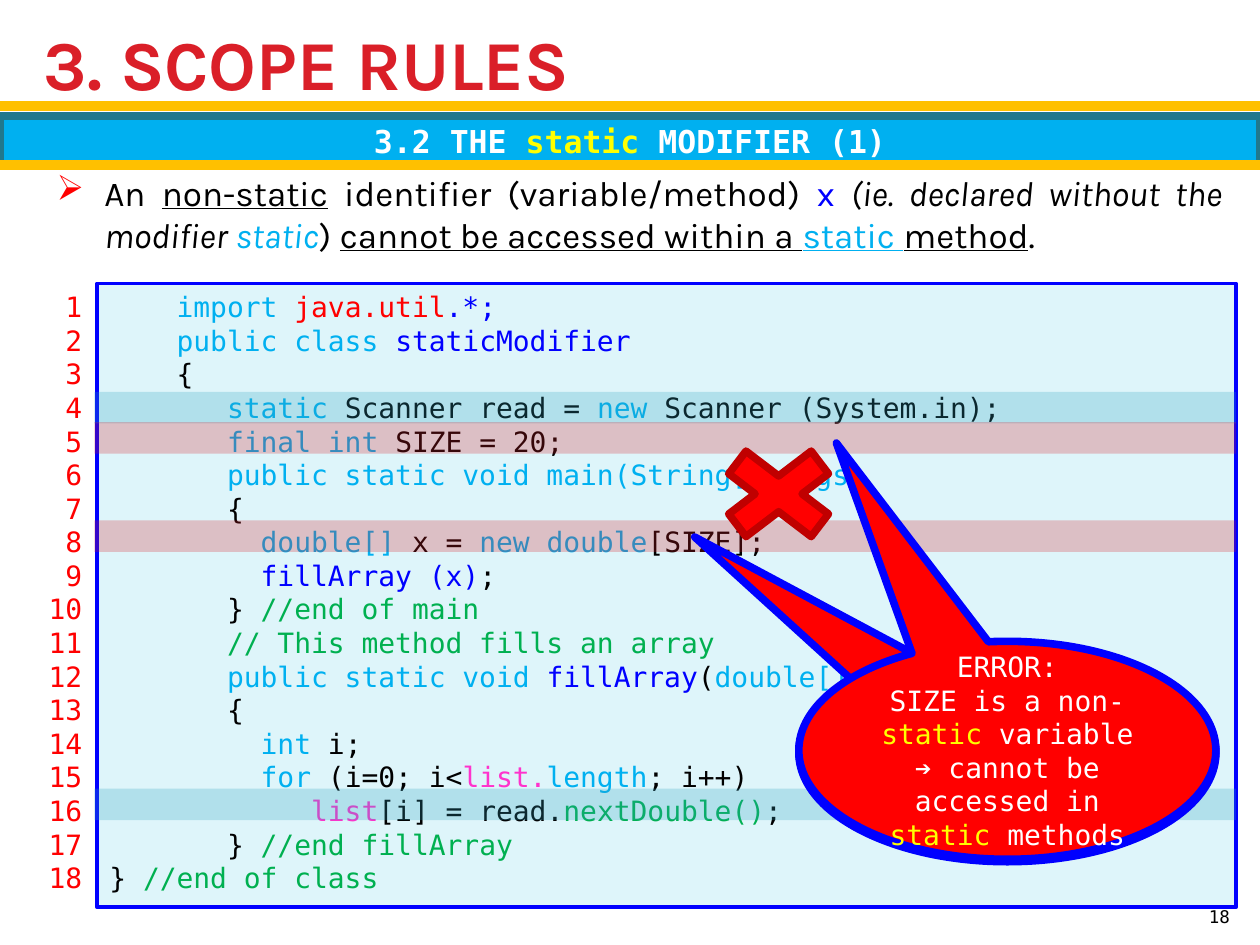
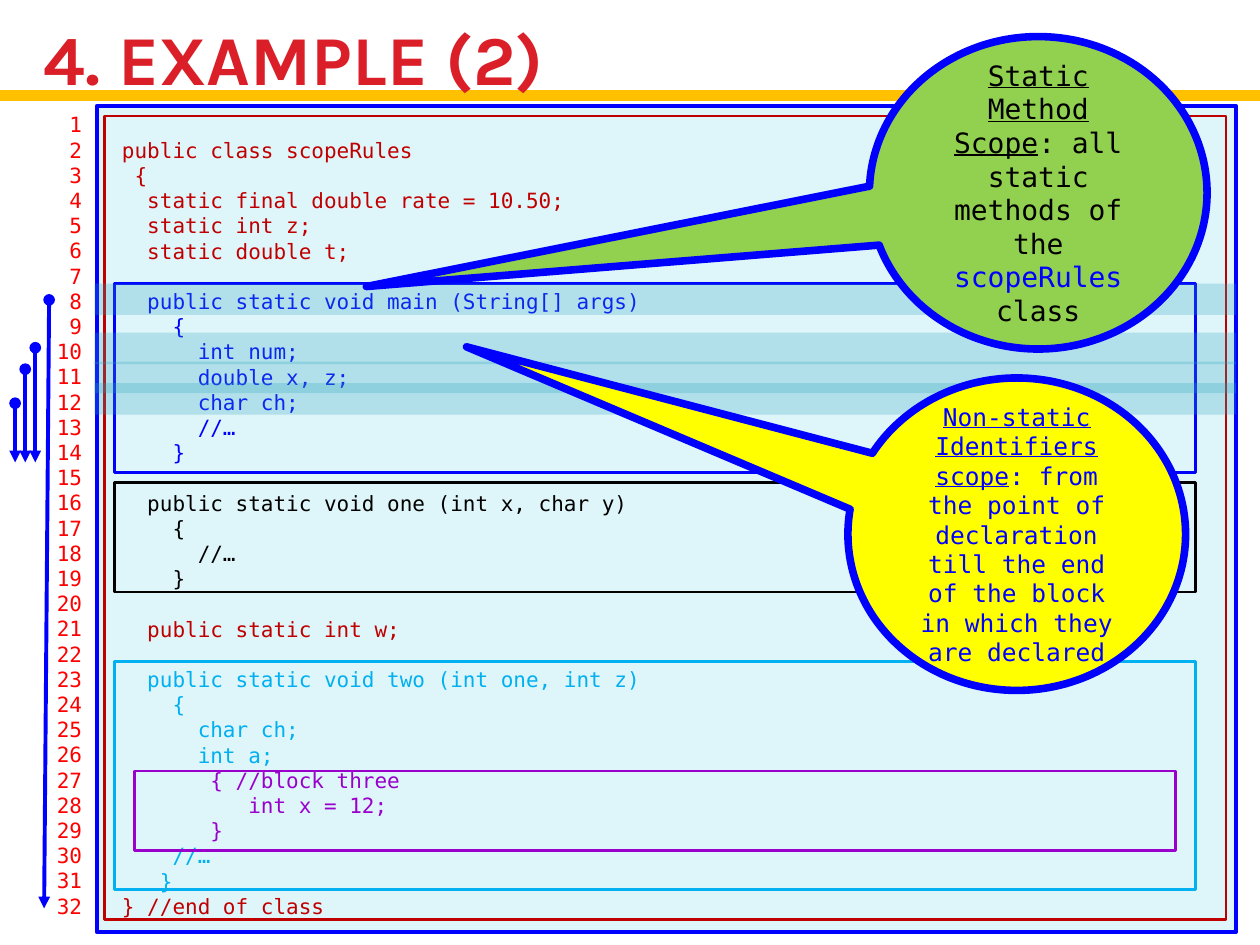
from dataclasses import dataclass

from lxml import etree
from pptx import Presentation
from pptx.dml.color import RGBColor
from pptx.enum.shapes import MSO_CONNECTOR, MSO_SHAPE
from pptx.enum.text import MSO_ANCHOR, PP_ALIGN
from pptx.oxml.ns import qn
from pptx.util import Inches, Pt

# Grid: 100 columns by 75 rows
SLIDE_W, SLIDE_H = Inches(10), Inches(7.5)
COL, ROW = SLIDE_W / 100, SLIDE_H / 75

# Fonts and colours
HEADING, MONO = "Karla", "DejaVu Sans Mono"
LINE_HEIGHT = 1.2
BLACK = RGBColor(0x00, 0x00, 0x00)
WHITE = RGBColor(0xFF, 0xFF, 0xFF)
RED = RGBColor(0xFF, 0x00, 0x00)
TITLE_RED = RGBColor(0xDA, 0x1F, 0x28)
DARK_RED = RGBColor(0xC0, 0x00, 0x00)
GOLD = RGBColor(0xFF, 0xC0, 0x00)
YELLOW = RGBColor(0xFF, 0xFF, 0x00)
LIME = RGBColor(0x92, 0xD0, 0x50)
GREEN = RGBColor(0x00, 0xB0, 0x50)
SKY = RGBColor(0x00, 0xB0, 0xF0)
TEAL = RGBColor(0x2D, 0xA2, 0xBF)
DARK_TEAL = RGBColor(0x21, 0x78, 0x8D)
PALE = RGBColor(0xDE, 0xF5, 0xFA)
BLUE = RGBColor(0x00, 0x00, 0xFF)
PURPLE = RGBColor(0x99, 0x00, 0xCC)
PINK = RGBColor(0xFF, 0x33, 0xCC)


@dataclass
class Box:
    """A region in grid columns and rows."""
    left: float
    top: float
    width: float
    height: float

    def inner(self, left, top, width, height):
        return Box(self.left + left, self.top + top, width, height)

    def emu(self):
        return (round(self.left * COL), round(self.top * ROW),
                round(self.width * COL), round(self.height * ROW))


def write_text(frame, lines, size=16, font=MONO, bold=False,
               align=PP_ALIGN.LEFT, anchor=MSO_ANCHOR.TOP, bullet=None):
    """Write lines of (text, colour, flags) runs; None skips one line."""
    frame.word_wrap = True
    frame.vertical_anchor = anchor
    gap, first = 0, True
    for line in lines:
        if line is None:
            gap += size * LINE_HEIGHT
            continue
        paragraph = frame.paragraphs[0] if first else frame.add_paragraph()
        paragraph.alignment = align
        if gap and first:
            frame.margin_top += Pt(gap)
        elif gap:
            paragraph.space_before = Pt(gap)
        gap, first = 0, False
        if bullet:
            add_bullet(paragraph, *bullet)
        for words, colour, *flags in line:
            run = paragraph.add_run()
            run.text = words
            run.font.name, run.font.size, run.font.bold = font, Pt(size), bold
            run.font.color.rgb = colour
            run.font.underline = "u" in flags
            run.font.italic = "i" in flags


def add_bullet(paragraph, mark, colour, indent):
    props = paragraph._p.get_or_add_pPr()
    props.set("marL", str(indent))
    props.set("indent", str(-indent))
    tint = etree.SubElement(props, qn("a:buClr"))
    etree.SubElement(tint, qn("a:srgbClr"), val=str(colour))
    etree.SubElement(props, qn("a:buChar"), char=mark)


def add_label(slide, box, lines, **fmt):
    write_text(slide.shapes.add_textbox(*box.emu()).text_frame, lines, **fmt)


def add_block(slide, box, fill=None, line=None, width=1.5,
              preset=MSO_SHAPE.RECTANGLE, opacity=None):
    block = slide.shapes.add_shape(preset, *box.emu())
    block.shadow.inherit = False
    if fill is None:
        block.fill.background()
    else:
        block.fill.solid()
        block.fill.fore_color.rgb = fill
    if opacity:
        tint = block._element.spPr.find(qn("a:solidFill"))[0]
        etree.SubElement(tint, qn("a:alpha"), val=str(opacity * 1000))
    if line is None:
        block.line.fill.background()
    else:
        block.line.color.rgb = line
        block.line.width = Pt(width)
    return block


def add_line(slide, start, end, colour, width, arrow=False):
    rule = slide.shapes.add_connector(
        MSO_CONNECTOR.STRAIGHT, round(start[0] * COL), round(start[1] * ROW),
        round(end[0] * COL), round(end[1] * ROW))
    rule.line.color.rgb = colour
    rule.line.width = Pt(width)
    if arrow:
        outline = rule.line._get_or_add_ln()
        etree.SubElement(outline, qn("a:headEnd"), type="oval")
        etree.SubElement(outline, qn("a:tailEnd"), type="triangle")
    etree.SubElement(rule._element.spPr, qn("a:effectLst"))


def add_heading(slide, title, box, rule_row):
    """Slide title over a gold rule."""
    add_line(slide, (0, rule_row), (100, rule_row), GOLD, 6)
    add_label(slide, box, [[(title, TITLE_RED)]], size=40, font=HEADING,
              bold=True, anchor=MSO_ANCHOR.MIDDLE)


def add_code_panel(slide, panel, code, size):
    """Numbered code listing; the numbers stand left of the panel."""
    numbers = [[(str(n), RED)] for n in range(1, len(code) + 1)]
    add_label(slide, panel.inner(-5.7, 0, 5.5, panel.height), numbers,
              size=size, align=PP_ALIGN.RIGHT)
    listing = add_block(slide, panel, PALE, BLUE, 2.25)
    write_text(listing.text_frame, code, size=size)


def add_highlight(slide, panel, row, colour):
    add_block(slide, panel.inner(-0.2, row, panel.width + 0.2, 2.5), colour,
              opacity=25)


def add_callout(slide, box, tip, fill, lines=(), size=16):
    balloon = add_block(slide, box, fill, BLUE, 4.33,
                        MSO_SHAPE.OVAL_CALLOUT)
    balloon.adjustments[0], balloon.adjustments[1] = tip
    write_text(balloon.text_frame, lines, size=size, align=PP_ALIGN.CENTER,
               anchor=MSO_ANCHOR.MIDDLE)


STATIC_CODE = [
    [("    import ", SKY), ("java.util", RED), (".*;", BLUE)],
    [("    public class ", SKY), ("staticModifier", BLUE)],
    [("    {", BLACK)],
    [("       static ", SKY), ("Scanner read = ", BLACK), ("new ", SKY),
     ("Scanner (System.in);", BLACK)],
    [("       final int ", SKY), ("SIZE = 20;", BLACK)],
    [("       public static void main(String[] args)", SKY)],
    [("       {", BLACK)],
    [("         double[]", SKY), (" x = ", BLACK), ("new double", SKY),
     ("[SIZE];", BLACK)],
    [("         fillArray (x)", BLUE), (";", BLACK)],
    [("       } ", BLACK), ("//end of main", GREEN)],
    [("       // This method fills an array", GREEN)],
    [("       public static void ", SKY), ("fillArray", BLUE), ("(", BLACK),
     ("double[] ", SKY), ("list", PINK), (")", BLACK)],
    [("       {", BLACK)],
    [("         int ", SKY), ("i;", BLACK)],
    [("         for ", SKY), ("(i=0; i<", BLACK), ("list.", PINK),
     ("length", SKY), ("; i++)", BLACK)],
    [("            list", PINK), ("[i] = read.", BLACK),
     ("nextDouble()", GREEN), (";", BLACK)],
    [("       }", BLACK), (" //end fillArray", GREEN)],
    [("} ", BLACK), ("//end of class", GREEN)],
]

# Source text of the scope example, by colour of its block
SCOPE_PARTS = [
    (DARK_RED, """
 public class scopeRules
  {
   static final double rate = 10.50;
   static int z;
   static double t;
"""),
    (BLUE, """   public static void main (String[] args)
     {
       int num;
       double x, z;
       char ch;
       //…
     }
"""),
    (BLACK, """   public static void one (int x, char y)
     {
       //…
     }
"""),
    (DARK_RED, "   public static int w;\n"),
    (SKY, """   public static void two (int one, int z)
     {
       char ch;
       int a;"""),
    (PURPLE, """        { //block three
           int x = 12;
        }"""),
    (SKY, "     //…\n    }"),
    (DARK_RED, " } //end of class"),
]
SCOPE_CODE = [[(words, colour)] if words else None
              for colour, part in SCOPE_PARTS for words in part.split("\n")]


def build_static_slide(slide):
    add_heading(slide, "3. SCOPE RULES", Box(2.5, 1.7, 94.7, 6.5), 8.4)
    add_label(slide, Box(94.6, 70.1, 4, 4), [[("18", BLACK)]], size=10,
              align=PP_ALIGN.RIGHT, anchor=MSO_ANCHOR.BOTTOM)

    # Rule being taught
    add_label(slide, Box(3.5, 13.1, 94.5, 7.7), [[
        ("An ", BLACK), ("non-static", BLACK, "u"),
        (" identifier (variable/method) ", BLACK), ("x ", BLUE),
        ("(ie. declared without the modifier ", BLACK, "i"),
        ("static", SKY, "i"), (") ", BLACK),
        ("cannot be accessed within a ", BLACK, "u"),
        ("static ", SKY, "u"), ("method", BLACK, "u"), (".", BLACK),
    ]], size=20, font=HEADING, align=PP_ALIGN.JUSTIFY,
        bullet=("➢", RED, Inches(0.38)))

    # Section band
    band = add_block(slide, Box(0, 9.2, 100, 3.9), SKY, DARK_TEAL, 4.33)
    write_text(band.text_frame, [[("3.2 THE ", WHITE), ("static", YELLOW),
                                  (" MODIFIER (1)", WHITE)]],
               size=18, bold=True, align=PP_ALIGN.CENTER,
               anchor=MSO_ANCHOR.MIDDLE)
    add_line(slide, (0, 13.1), (100, 13.1), GOLD, 6)

    # Code with the allowed and the wrong lines marked
    panel = Box(7.7, 22.5, 90.4, 49.5)
    add_code_panel(slide, panel, STATIC_CODE, 16)
    for row, colour in ((8.6, TEAL), (40.1, TEAL),
                        (11, TITLE_RED), (18.8, TITLE_RED)):
        add_highlight(slide, panel, row, colour)
    add_block(slide, panel.inner(47.8, 11.9, 12.6, 9.6), RED, DARK_RED, 4.33,
              MSO_SHAPE.MATH_MULTIPLY)

    # Error balloon with two tips
    error = panel.inner(55.7, 28.4, 33.1, 17.3)
    add_callout(slide, error.inner(0, 0.2, 33.1, 17.3), (-0.75, -0.99), RED)
    add_callout(slide, error, (-0.41, -1.41), RED, [
        [("ERROR:", WHITE)],
        [("SIZE is a non-", WHITE), ("static", YELLOW),
         (" variable ➔ cannot be accessed in ", WHITE),
         ("static ", YELLOW), ("methods", WHITE)]])


def build_example_slide(slide):
    add_heading(slide, "4. EXAMPLE (2)", Box(2.5, 1.3, 94.7, 6.5), 7.6)
    panel = Box(7.7, 8.4, 90.4, 65.6)
    add_code_panel(slide, panel, SCOPE_CODE, 12)

    # Block frames: left, top, width, height within the panel
    for frame, colour in (((0.6, 0.8, 89, 63.8), DARK_RED),
                          ((1.4, 14.1, 85.8, 15), BLUE),
                          ((1.4, 29.9, 85.8, 8.7), BLACK),
                          ((1.4, 44.1, 85.8, 18.1), SKY),
                          ((3, 52.8, 82.6, 6.3), PURPLE)):
        add_block(slide, panel.inner(*frame), line=colour)

    # Declarations and the reach of each scope
    for row in (14.1, 18, 20.3, 22):
        add_highlight(slide, panel, row, TEAL)
    for start, end in (((3.9, 23.8), (3.5, 72.1)), ((2.8, 27.6), (2.8, 36.7)),
                       ((2, 29.3), (2, 36.7)), ((1.2, 32), (1.2, 36.7))):
        add_line(slide, start, end, BLUE, 2.25, arrow=True)

    # Scope balloons
    add_callout(slide, panel.inner(59.6, 21.6, 26.8, 24.8), (-1.63, -0.6),
                YELLOW, [[
                    ("Non-static Identifiers scope", BLUE, "u"),
                    (": from the point of declaration till the end of the "
                     "block in which they are declared", BLUE)]], size=14)
    add_callout(slide, panel.inner(61.3, -5.5, 26.8, 24.8), (-1.99, 0.3),
                LIME, [[
                    ("Static Method Scope", BLACK, "u"),
                    (": all static methods of the ", BLACK),
                    ("scopeRules ", BLUE), ("class", BLACK)]])


def main():
    deck = Presentation()
    deck.slide_width, deck.slide_height = SLIDE_W, SLIDE_H
    for build in (build_static_slide, build_example_slide):
        build(deck.slides.add_slide(deck.slide_layouts[6]))
    deck.save("out.pptx")


if __name__ == "__main__":
    main()
